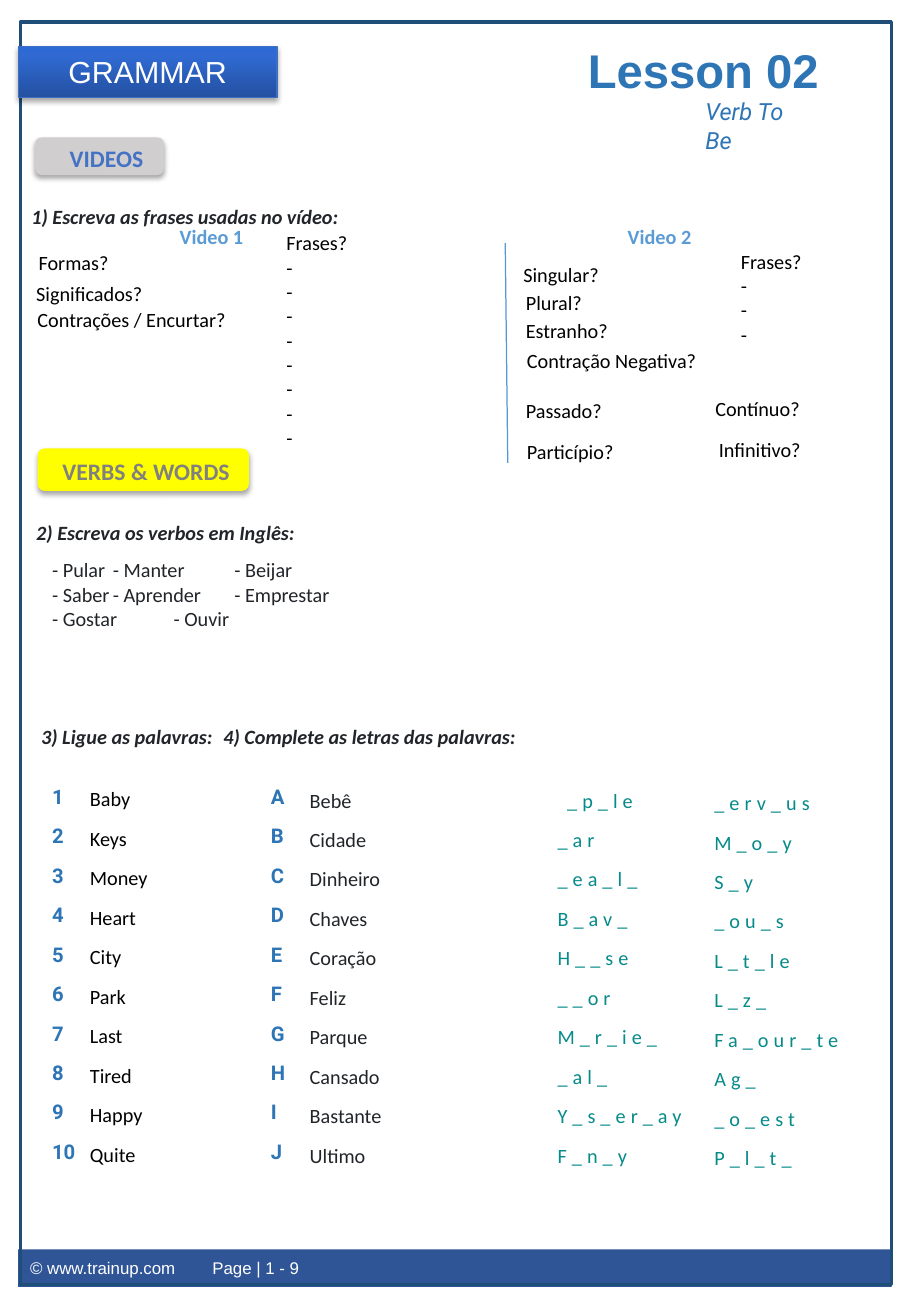
from copy import deepcopy

from lxml import etree
from pptx import Presentation
from pptx.dml.color import RGBColor
from pptx.enum.shapes import MSO_CONNECTOR, MSO_SHAPE
from pptx.enum.text import MSO_ANCHOR, MSO_AUTO_SIZE, PP_ALIGN
from pptx.oxml.ns import qn
from pptx.util import Pt

RECTANGLE, ROUNDED = MSO_SHAPE.RECTANGLE, MSO_SHAPE.ROUNDED_RECTANGLE
STRAIGHT = MSO_CONNECTOR.STRAIGHT
TOP, MIDDLE = MSO_ANCHOR.TOP, MSO_ANCHOR.MIDDLE
LEFT, CENTER = PP_ALIGN.LEFT, PP_ALIGN.CENTER
NO_FIT = MSO_AUTO_SIZE.NONE
COMPARISON_LAYOUT = 4

COLORS = {
    "white": "FFFFFF", "black": "000000", "ink": "212529", "teal": "068A8A",
    "blue": "2E75B6", "sky": "5B9BD5", "divider": "5698D3", "frame": "1F4E79",
    "footer": "2F5597", "label": "4472C4", "gray": "808080", "silver": "D0CECE",
    "yellow": "FFFF00", "banner line": "3F6FC3", "banner dark": "2451A1",
    "banner mid": "2F69D1", "banner light": "2C69D5",
}


def text_format(name, size, color, bold=False, italic=False):
    """Return the format values of one text style."""
    font = {"name": name, "size": Pt(size), "bold": bold, "italic": italic}
    return {"font": font, "color": color}


FORMATS = {
    "title": text_format("Arial", 28, "blue", bold=True),
    "subtitle": text_format("Roboto", 14, "blue", italic=True),
    "banner": text_format("Arial", 18, "white"),
    "footer": text_format("Arial", 10, "white"),
    "heading": text_format("Calibri", 12, "ink", bold=True, italic=True),
    "video": text_format("Calibri", 12, "sky", bold=True),
    "label": text_format("Calibri", 12, "black"),
    "ink": text_format("Calibri", 12, "ink"),
    "clue": text_format("Calibri", 12, "teal"),
    "key": text_format("Roboto", 12, "blue", bold=True),
    "videos": text_format("Calibri", 14, "label", bold=True),
    "verbs": text_format("Calibri", 14, "gray", bold=True),
}

SINGLE = {"line_spacing": 1.0, "space_before": Pt(0), "space_after": Pt(0)}
LIST = {"line_spacing": 1.07, "space_before": Pt(0), "space_after": Pt(8)}

HEADINGS = [
    ("1) Escreva as frases usadas no vídeo:", 11.5, 117.4, 454),
    ("2) Escreva os verbos em Inglês:", 14.4, 304.6, 454),
    ("3) Ligue as palavras:\t4) Complete as letras das palavras:", 17.3, 425.5, 505),
]
VIDEO_TITLES = [("Video 1", 99.4, 129.6, 53), ("Video 2", 365, 129.6, 53)]
VIDEO_LABELS = [
    ("Formas?", 15.8, 144.7, 59), ("Significados?", 14.4, 163.4, 78),
    ("Contrações / Encurtar?", 15.1, 178.6, 130),
    ("Singular?", 303.1, 151.9, 62), ("Plural?", 304.6, 168.5, 51),
    ("Estranho?", 304.6, 185, 66), ("Contração Negativa?", 305.3, 203, 119),
    ("Passado?", 304.6, 232.6, 63), ("Particípio?", 305.3, 257, 69),
    ("Contínuo?", 416.9, 231.1, 68), ("Infinitivo?", 419, 255.6, 66),
]
PHRASES = [(8, 162.7, 133.2), (3, 432, 144)]
VERBS = ["- Pular\t- Manter\t- Beijar", "- Saber\t- Aprender\t- Emprestar",
         "- Gostar\t- Ouvir"]
WORDS = ["Baby", "Keys", "Money", "Heart", "City", "Park", "Last", "Tired",
         "Happy", "Quite"]
TRANSLATIONS = ["Bebê", "Cidade", "Dinheiro", "Chaves", "Coração", "Feliz",
                "Parque", "Cansado", "Bastante", "Ultimo"]
CLUES_LEFT = [" _p_le", "_ar", "_ea_l_", "B_av_", "H__se", "__or", "M_r_ie_",
              "_al_", "Y_s_er_ay", "F_n_y"]
CLUES_RIGHT = ["_erv_us", "M_o_y", "S_y", "_ou_s", "L_t_le", "L_z_",
               "Fa_our_te", "Ag_", "_o_est", "P_l_t_"]
LIST_HEIGHT = 258
BODY_LISTS = [
    (1, WORDS, "label", 46.1, 461.5, 76.3, 0),
    (2, TRANSLATIONS, "ink", 176.4, 462.2, 72.7, 0),
    (3, CLUES_LEFT, "clue", 323.3, 462.2, 102.2, 3),
    (4, CLUES_RIGHT, "clue", 416.2, 463.7, 102.2, 3),
]
KEY_LISTS = [([str(number) for number in range(1, 11)], 23.8, 40.3),
             (list("ABCDEFGHIJ"), 153.4, 29.5)]


def color(name):
    """Return a named colour."""
    return RGBColor.from_string(COLORS[name])


def set_values(target, values):
    """Set attributes from a dict of format values."""
    for name, value in values.items():
        setattr(target, name, value)


def write(box, lines, style, spacing=SINGLE, align=LEFT, anchor=TOP, wrap=True,
          tabs=(), tracking=0):
    """Fill a box with one formatted paragraph for each line."""
    frame = box.text_frame
    set_values(frame, {"word_wrap": wrap, "auto_size": NO_FIT, "vertical_anchor": anchor})
    for index, line in enumerate(lines):
        para = frame.add_paragraph() if index else frame.paragraphs[0]
        set_values(para, {**spacing, "alignment": align})
        properties = para._p.get_or_add_pPr()
        properties.set("marL", "0")
        properties.set("indent", "0")
        etree.SubElement(properties, qn("a:buNone"))
        if tabs:
            tab_list = etree.SubElement(properties, qn("a:tabLst"))
            for stop in tabs:
                etree.SubElement(tab_list, qn("a:tab"), pos=str(Pt(stop)), algn="l")
        span = para.add_run()
        span.text = line
        set_values(span.font, FORMATS[style]["font"])
        span.font.color.rgb = color(FORMATS[style]["color"])
        if tracking:
            span._r.get_or_add_rPr().set("spc", str(tracking * 100))


def place(box, left, top, width, height):
    """Move and size a placeholder."""
    set_values(box, {"left": Pt(left), "top": Pt(top),
                     "width": Pt(width), "height": Pt(height)})


def add_text(page, lines, style, left, top, width, height=21.6, **options):
    """Add a text box."""
    box = page.shapes.add_textbox(Pt(left), Pt(top), Pt(width), Pt(height))
    write(box, lines, style, **options)


def add_panel(page, kind, left, top, width, height, fill=None):
    """Add a flat shape without outline."""
    panel = page.shapes.add_shape(kind, Pt(left), Pt(top), Pt(width), Pt(height))
    panel.shadow.inherit = False
    panel.line.fill.background()
    if fill:
        panel.fill.solid()
        panel.fill.fore_color.rgb = color(fill)
    else:
        panel.fill.background()
    return panel


def outline(item, name, width):
    """Set the colour and width of a line."""
    item.line.color.rgb = color(name)
    item.line.width = Pt(width)


def add_shadow(panel):
    """Give a shape a soft shadow below."""
    effects = panel._element.spPr.find(qn("a:effectLst"))
    shadow = etree.SubElement(effects, qn("a:outerShdw"), blurRad=str(Pt(3.1)),
                              dist=str(Pt(1.8)), dir="5400000", rotWithShape="0")
    shade = etree.SubElement(shadow, qn("a:srgbClr"), val=COLORS["black"])
    etree.SubElement(shade, qn("a:alpha"), val="35000")


def add_pill(page, text, style, left, top, width, height, fill, inset):
    """Add a rounded section label."""
    pill = add_panel(page, ROUNDED, left, top, width, height, fill)
    add_shadow(pill)
    set_values(pill.text_frame, {"margin_left": Pt(inset), "margin_right": Pt(0),
                                 "margin_top": Pt(2), "margin_bottom": Pt(0)})
    write(pill, [text], style, anchor=MIDDLE, wrap=False)


def add_banner(page):
    """Add the gradient banner."""
    banner = add_panel(page, ROUNDED, 10.8, 27.4, 153.4, 30.2)
    banner.adjustments[0] = 0
    banner.fill.gradient()
    banner.fill.gradient_angle = 90
    stops = banner._element.spPr.find(qn("a:gradFill")).find(qn("a:gsLst"))
    stops.append(deepcopy(stops[-1]))
    shades = [(0, "banner dark"), (0.8, "banner mid"), (1, "banner light")]
    for stop, (position, name) in zip(banner.fill.gradient_stops, shades):
        stop.position = position
        stop.color.rgb = color(name)
    outline(banner, "banner line", 0.75)
    add_shadow(banner)
    write(banner, ["GRAMMAR"], "banner", align=CENTER, anchor=MIDDLE)


def add_divider(page):
    """Add the line between the two videos."""
    divider = page.shapes.add_connector(STRAIGHT, Pt(299.5), Pt(144), Pt(301), Pt(274.3))
    outline(divider, "divider", 0.75)
    etree.SubElement(divider._element.spPr, qn("a:effectLst"))


def main():
    """Build the worksheet page."""
    deck = Presentation()
    deck.slide_width, deck.slide_height = Pt(540), Pt(779.76)
    page = deck.slides.add_slide(deck.slide_layouts[COMPARISON_LAYOUT])
    place(page.shapes.title, 341.3, 20.9, 153.4, 41)
    write(page.shapes.title, ["Lesson 02"], "title", wrap=False)
    for index, lines, style, left, top, width, tracking in BODY_LISTS:
        body = page.placeholders[index]
        place(body, left, top, width, LIST_HEIGHT)
        write(body, lines, style, spacing=LIST, tracking=tracking)
    for lines, left, width in KEY_LISTS:
        add_text(page, lines, "key", left, 460, width, LIST_HEIGHT, spacing=LIST)
    footer = add_panel(page, RECTANGLE, 10.8, 740.2, 517.7, 22.3, "footer")
    write(footer, ["© www.trainup.com\tPage | 1 - 9"], "footer", anchor=MIDDLE, tabs=[431.2])
    frame = add_panel(page, RECTANGLE, 12.2, 13, 516.2, 748)
    outline(frame, "frame", 2)
    add_banner(page)
    add_text(page, ["Verb To Be"], "subtitle", 411.1, 54, 72, 41)
    add_pill(page, "VIDEOS", "videos", 20.9, 81.4, 76.3, 22.3, "silver", 19.4)
    add_pill(page, "VERBS & WORDS", "verbs", 22.3, 265.7, 125.3, 25.2, "yellow", 13.5)
    for text, left, top, width in HEADINGS:
        add_text(page, [text], "heading", left, top, width, tabs=[279.5])
    for style, labels in (("video", VIDEO_TITLES), ("label", VIDEO_LABELS)):
        for text, left, top, width in labels:
            add_text(page, [text], style, left, top, width, wrap=False)
    for count, left, top in PHRASES:
        lines = ["Frases?"] + ["-"] * count
        add_text(page, lines, "label", left, top, 51, 7.2 + 14.6 * len(lines), wrap=False)
    add_text(page, VERBS, "ink", 23.8, 326.9, 454, 51, tabs=[170.6, 322.8])
    add_divider(page)
    deck.save("out.pptx")


if __name__ == "__main__":
    main()
